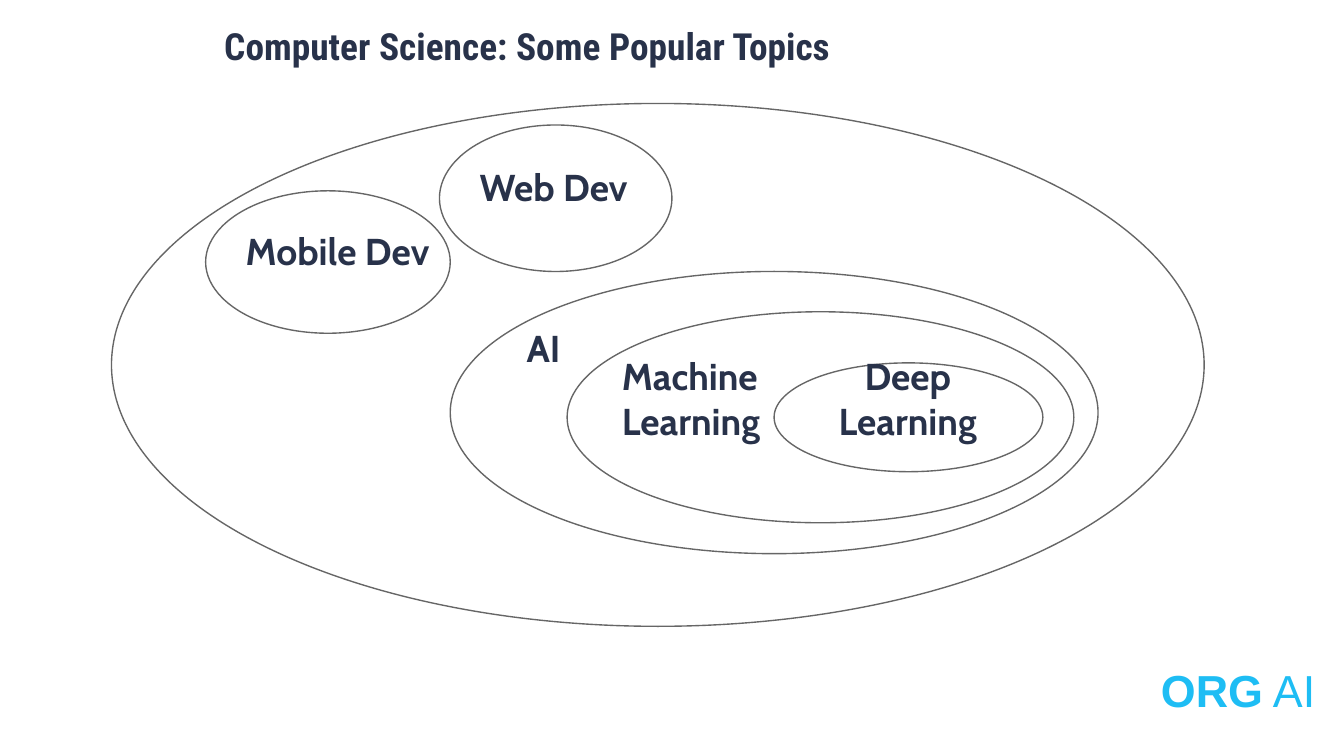
from pptx import Presentation
from pptx.dml.color import RGBColor
from pptx.enum.shapes import MSO_SHAPE as Shape
from pptx.enum.text import PP_ALIGN as Align
from pptx.util import Inches, Pt

NAVY = RGBColor(0x28, 0x32, 0x4A)
SKY = RGBColor(0x1E, 0xBD, 0xF4)
GREY = RGBColor(0x66, 0x66, 0x66)
WHITE = RGBColor(0xFF, 0xFF, 0xFF)

DIAGRAM = (0.83, 0.77, 8.13, 3.89)

# Topic, ellipse box and label box; both boxes are offsets from the diagram.
TOPICS = [
    ("Mobile Dev", (0.7, 0.65, 1.82, 1.06), (0.9, 0.83, 1.63, 0.7), Align.LEFT),
    ("Web Dev", (2.44, 0.16, 1.73, 1.09), (2.64, 0.35, 1.33, 0.7), Align.LEFT),
    ("AI", (2.52, 1.25, 4.82, 2.1), (2.99, 1.55, 0.62, 0.7), Align.LEFT),
    ("Machine Learning", (3.39, 1.55, 3.77, 1.57), (3.7, 1.76, 1.33, 0.7), Align.LEFT),
    ("Deep Learning", (4.93, 1.93, 2, 0.81), (5.26, 1.76, 1.33, 0.7), Align.CENTER),
]


def add_label(page, area, runs, font, size, color, align=Align.LEFT):
    """Add a one-paragraph text box; runs are (text, bold) pairs."""
    box = page.shapes.add_textbox(*map(Inches, area))
    frame = box.text_frame
    frame.word_wrap = True
    frame.margin_left = frame.margin_right = Inches(0.1)
    frame.margin_top = frame.margin_bottom = Inches(0.1)
    para = frame.paragraphs[0]
    para.alignment = align
    for text, bold in runs:
        span = para.add_run()
        span.text = text
        span.font.name = font
        span.font.size = Pt(size)
        span.font.bold = bold
        span.font.color.rgb = color


def add_ellipse(page, area):
    ellipse = page.shapes.add_shape(Shape.OVAL, *map(Inches, area))
    ellipse.shadow.inherit = False
    ellipse.fill.background()
    ellipse.line.color.rgb = GREY
    ellipse.line.width = Pt(0.75)


def add_topic_diagram(page, area):
    left, top = area[:2]

    def place(offset):
        x, y, width, height = offset
        return left + x, top + y, width, height

    add_ellipse(page, area)
    for name, ellipse, label, align in TOPICS:
        add_ellipse(page, place(ellipse))
        add_label(page, place(label), [(name, True)], "Cabin", 20, NAVY, align)


def main():
    deck = Presentation()
    deck.slide_width = Inches(10)
    deck.slide_height = deck.slide_width * 9 // 16
    page = deck.slides.add_slide(deck.slide_layouts[6])
    page.background.fill.solid()
    page.background.fill.fore_color.rgb = WHITE

    add_label(page, (8.54, 4.83, 1.46, 0.79),
              [("ORG", True), (" AI", False)], "Arial", 24, SKY)
    add_label(page, (1.57, 0.07, 5.48, 0.7),
              [("Computer Science: Some Popular Topics", True)],
              "Roboto Condensed", 20, NAVY)
    add_topic_diagram(page, DIAGRAM)
    deck.save("out.pptx")


if __name__ == "__main__":
    main()
